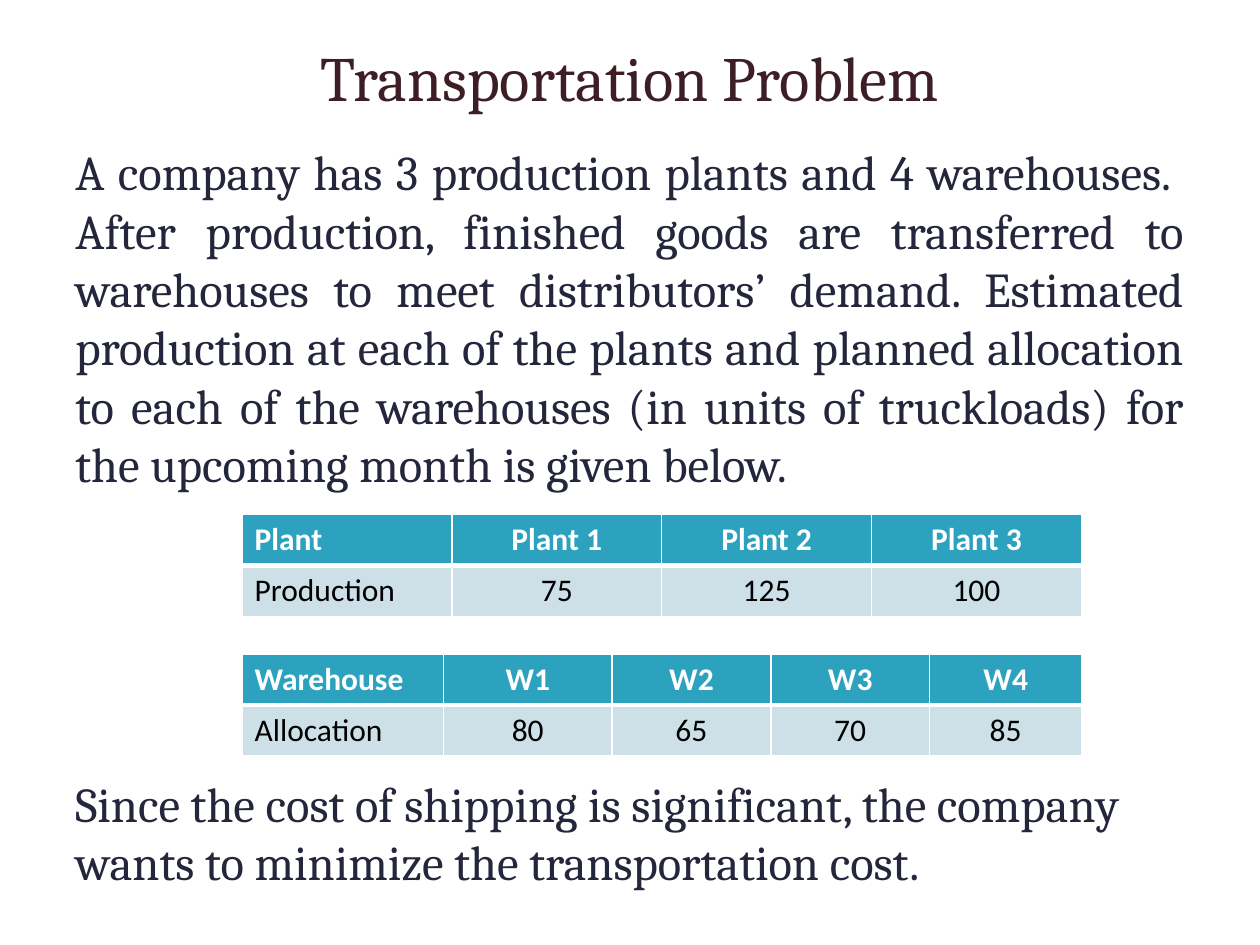
from pptx import Presentation
from pptx.dml.color import RGBColor
from pptx.enum.text import MSO_ANCHOR as Anchor, PP_ALIGN as Align
from pptx.oxml import parse_xml
from pptx.oxml.ns import nsdecls
from pptx.util import Cm, Pt

TITLE = "Transportation Problem"
INTRO = (
    "A company has 3 production plants and 4 warehouses.  After production, "
    "finished goods are transferred to warehouses to meet distributors’ demand. "
    "Estimated production at each of the plants and planned allocation to each of "
    "the warehouses (in units of truckloads) for the upcoming month is given below."
)
CLOSING = (
    "Since the cost of shipping is significant, the company wants to minimize "
    "the transportation cost."
)
TABLES = [
    {
        "top": 10.37,
        "widths": [4.23] * 4,
        "rows": [["Plant", "Plant 1", "Plant 2", "Plant 3"],
                 ["Production", "75", "125", "100"]],
    },
    {
        "top": 13.18,
        "widths": [4.06, 3.4, 3.2, 3.2, 3.07],
        "rows": [["Warehouse", "W1", "W2", "W3", "W4"],
                 ["Allocation", "80", "65", "70", "85"]],
    },
]
ROW_STYLES = [
    {"fill": "2DA2BF", "color": "FFFFFF", "bold": True, "bottom": 3},
    {"fill": "CDE0E8", "color": "000000", "bold": False, "bottom": 1},
]
TABLE_LEFT, ROW_HEIGHT = 4.88, 1.03
TEXT_LEFT, TEXT_WIDTH = 1.27, 22.86


def rgb(value):
    return RGBColor.from_string(value)


def format_paragraph(p, font, size, color, align, bold=False):
    p.alignment = align
    for r in p.runs:
        r.font.name, r.font.size, r.font.bold = font, Pt(size), bold
        r.font.color.rgb = rgb(color)


def add_text(s, text, top, height, size, color, align, anchor=Anchor.TOP):
    box = s.shapes.add_textbox(Cm(TEXT_LEFT), Cm(top), Cm(TEXT_WIDTH), Cm(height))
    tf = box.text_frame
    tf.word_wrap, tf.vertical_anchor = True, anchor
    tf.text = text
    format_paragraph(tf.paragraphs[0], "Cambria", size, color, align)


def set_borders(cell, top, bottom):
    tc_pr = cell._tc.get_or_add_tcPr()
    sides = [("lnL", 1), ("lnR", 1), ("lnT", top), ("lnB", bottom)]
    for i, (side, width) in enumerate(sides):
        tc_pr.insert(i, parse_xml(
            f'<a:{side} {nsdecls("a")} w="{Pt(width)}"><a:solidFill>'
            f'<a:srgbClr val="FFFFFF"/></a:solidFill></a:{side}>'))


def add_data_table(s, top, widths, rows):
    table = s.shapes.add_table(
        len(rows), len(widths), Cm(TABLE_LEFT), Cm(top),
        Cm(sum(widths)), Cm(ROW_HEIGHT * len(rows))).table
    for column, width in zip(table.columns, widths):
        column.width = Cm(width)
    above = 1
    for i, (values, style) in enumerate(zip(rows, ROW_STYLES)):
        for j, value in enumerate(values):
            cell = table.cell(i, j)
            cell.text = value
            cell.fill.solid()
            cell.fill.fore_color.rgb = rgb(style["fill"])
            set_borders(cell, above, style["bottom"])
            format_paragraph(cell.text_frame.paragraphs[0], "Calibri", 18, style["color"],
                             Align.CENTER if j else Align.LEFT, style["bold"])
        above = style["bottom"]


def main():
    """Build the transportation problem slide."""
    prs = Presentation()
    prs.slide_width, prs.slide_height = Cm(25.4), Cm(19.05)
    s = prs.slides.add_slide(prs.slide_layouts[6])
    add_text(s, TITLE, 0.76, 1.57, 36, "3E1E25", Align.CENTER, Anchor.MIDDLE)
    add_text(s, INTRO, 2.74, 7.4, 27.8, "24263C", Align.JUSTIFY)
    add_text(s, CLOSING, 15.47, 2.7, 27.8, "24263C", Align.LEFT)
    for data in TABLES:
        add_data_table(s, **data)
    prs.save("out.pptx")


if __name__ == "__main__":
    main()
